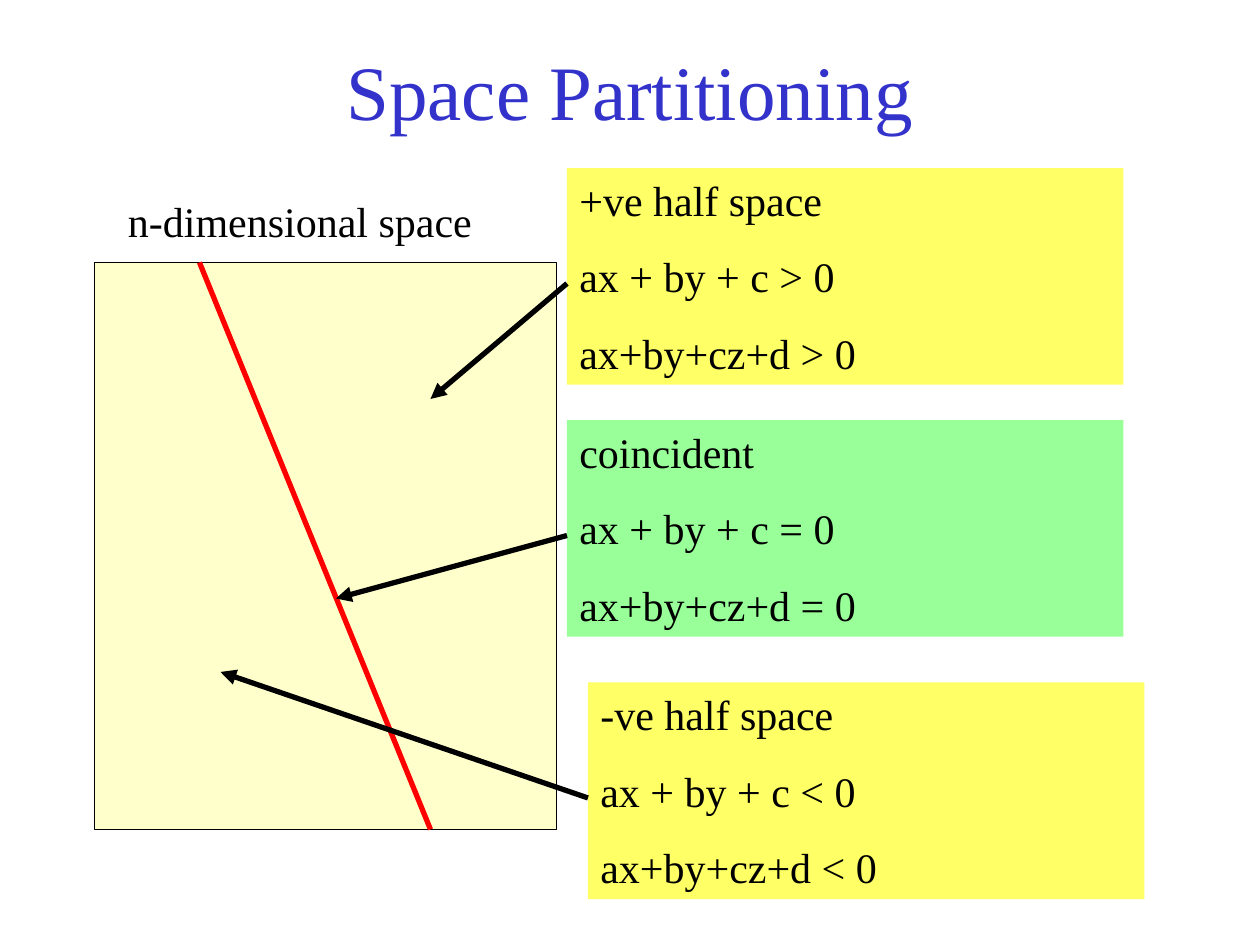
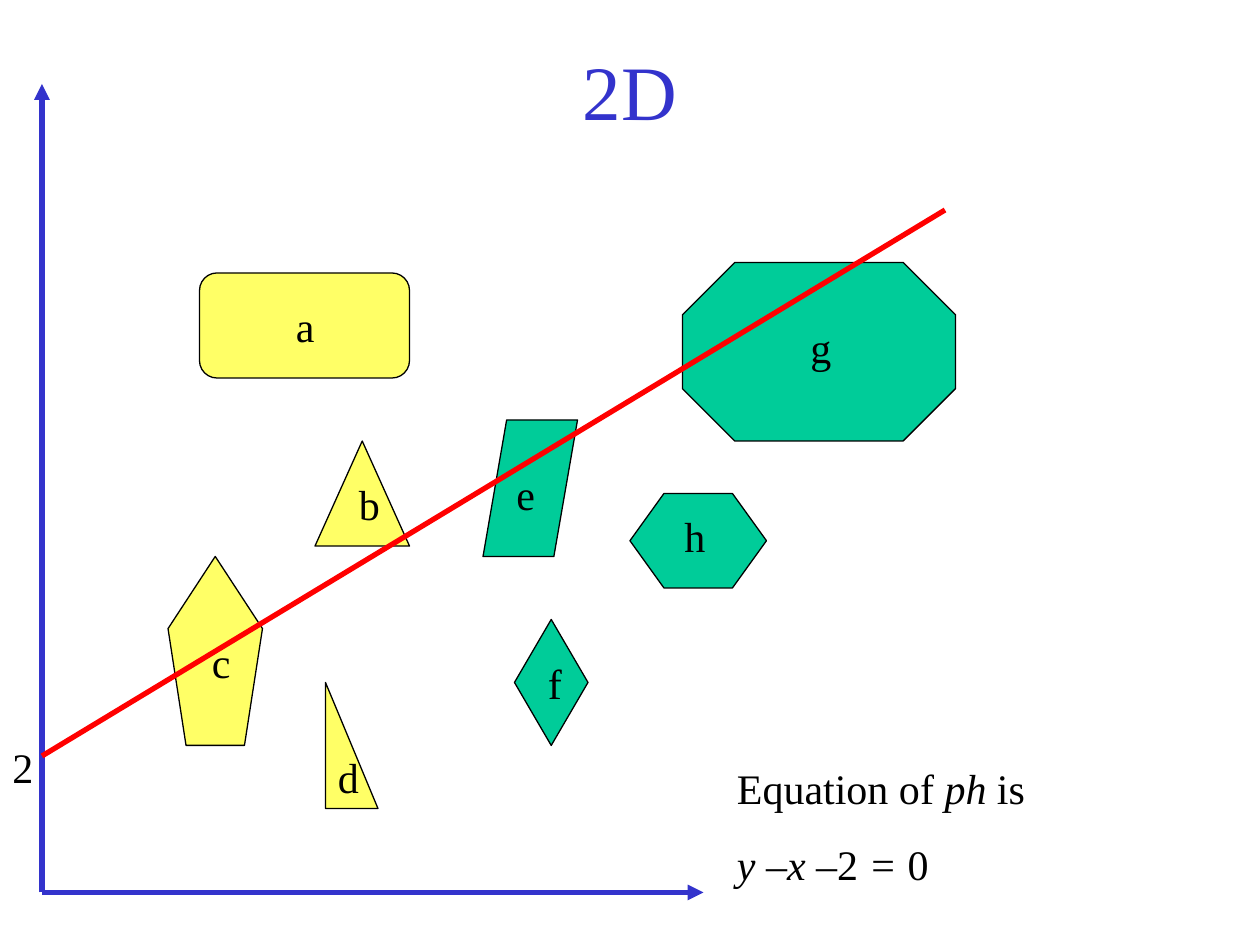
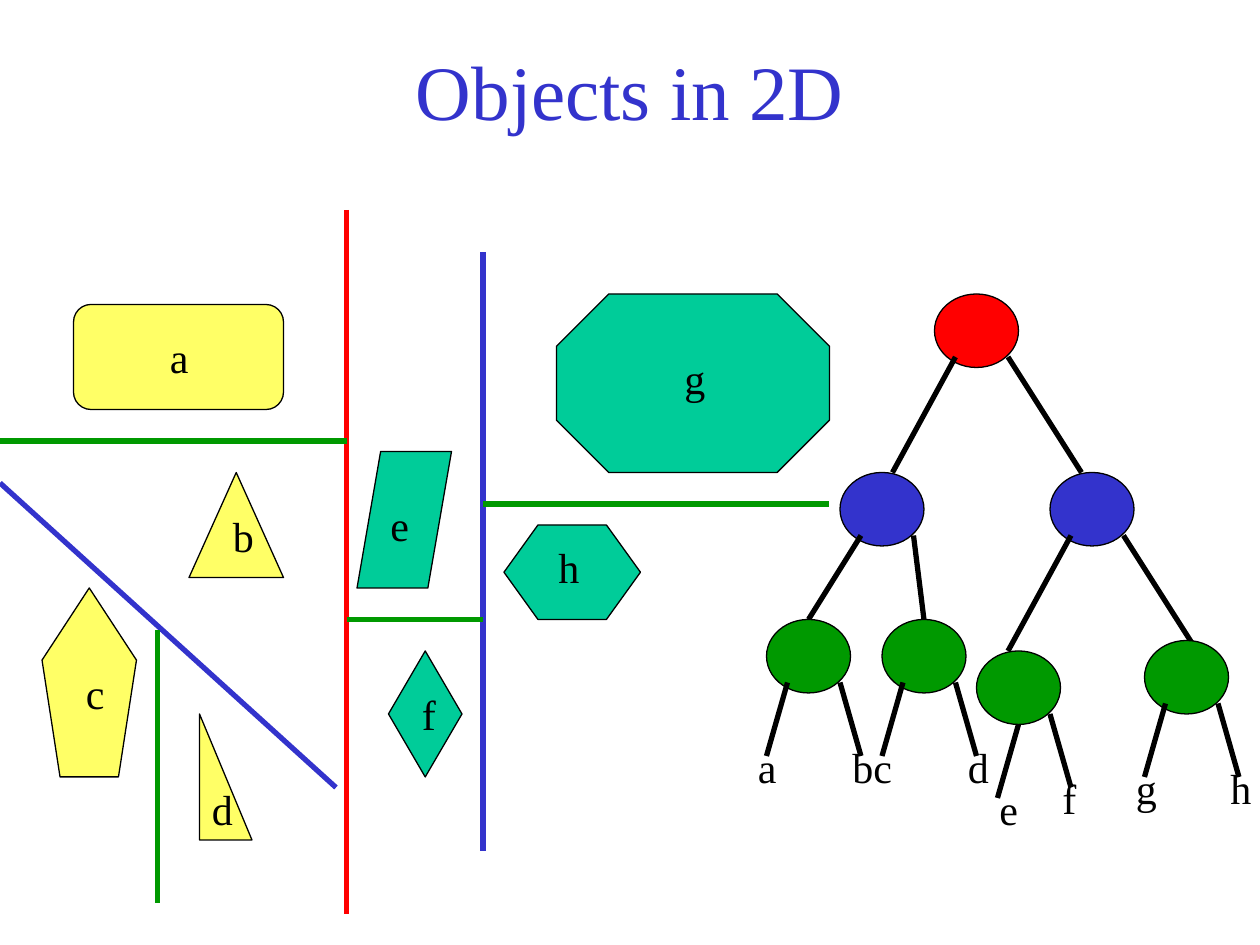
from lxml import etree
from pptx import Presentation
from pptx.dml.color import RGBColor
from pptx.enum.shapes import MSO_CONNECTOR, MSO_SHAPE
from pptx.enum.text import MSO_ANCHOR, MSO_AUTO_SIZE, PP_ALIGN
from pptx.oxml.ns import qn
from pptx.util import Inches, Pt

RECTANGLE = MSO_SHAPE.RECTANGLE
OVAL = MSO_SHAPE.OVAL
HEXAGON = MSO_SHAPE.HEXAGON
STRAIGHT = MSO_CONNECTOR.STRAIGHT
MIDDLE, TOP = MSO_ANCHOR.MIDDLE, MSO_ANCHOR.TOP
CENTER, LEFT = PP_ALIGN.CENTER, PP_ALIGN.LEFT
FIT_SHAPE, NO_FIT = MSO_AUTO_SIZE.SHAPE_TO_FIT_TEXT, MSO_AUTO_SIZE.NONE

WIDTH, HEIGHT = Inches(10), Inches(7.5)
COLUMNS, ROWS = 120, 90
TITLE_ONLY = 5
FONT = "Times New Roman"
COLORS = {
    "black": "000000",
    "blue": "3333CC",
    "red": "FF0000",
    "green": "009900",
    "teal": "00CC99",
    "yellow": "FFFF66",
    "cream": "FFFFCC",
    "mint": "99FF99",
}

OBJECTS = [
    ("a", MSO_SHAPE.ROUNDED_RECTANGLE, "yellow", (19, 26, 20, 10), (27, 28)),
    ("h", HEXAGON, "teal", (60, 47, 13, 9), (64, 48)),
    ("b", MSO_SHAPE.ISOSCELES_TRIANGLE, "yellow", (30, 42, 9, 10), (33, 45)),
    ("e", MSO_SHAPE.PARALLELOGRAM, "teal", (46, 40, 9, 13), (48, 44)),
    ("f", MSO_SHAPE.DIAMOND, "teal", (49, 59, 7, 12), (51, 62)),
    ("c", MSO_SHAPE.REGULAR_PENTAGON, "yellow", (16, 53, 9, 18), (19, 60)),
    ("d", MSO_SHAPE.RIGHT_TRIANGLE, "yellow", (31, 65, 5, 12), (31, 71)),
    ("g", MSO_SHAPE.OCTAGON, "teal", (65, 25, 26, 17), (76, 30)),
]

HALF_SPACES = [
    ("+ve half space", ">", "yellow", (54, 16), (41, 38)),
    ("-ve half space", "<", "yellow", (56, 65), (21, 64)),
    ("coincident", "=", "mint", (54, 40), (32, 57)),
]

PARTITIONS = [
    ("red", (33, 20), (33, 87)),
    ("blue", (46, 24), (46, 81)),
    ("blue", (0, 46), (32, 75)),
    ("green", (0, 42), (33, 42)),
    ("green", (15, 60), (15, 86)),
    ("green", (33, 59), (46, 59)),
    ("green", (46, 48), (79, 48)),
]

BRANCHES = [
    ("red", (89, 28), (85, 45), (103, 45)),
    ("blue", (80, 45), (77, 59), (88, 59)),
    ("blue", (100, 45), (96, 62), (114, 62)),
]
LEFT_EXIT, RIGHT_EXIT = (2, 6), (7, 6)

LEFT_STEM = (LEFT_EXIT, (0, 13), (-2, 11))
RIGHT_STEM = (RIGHT_EXIT, (9, 13), (7, 11))
CENTER_STEM = ((4, 7), (2, 14), (1, 12))
LEAF_NODES = [
    ((73, 59), "ab", LEFT_STEM),
    ((84, 59), "cd", LEFT_STEM),
    ((93, 62), "ef", CENTER_STEM),
    ((109, 61), "gh", LEFT_STEM),
]


def color(name):
    return RGBColor.from_string(COLORS[name])


def moved(point, offset):
    return point[0] + offset[0], point[1] + offset[1]


def write(frame, lines, size=24, ink="black", align=LEFT, anchor=TOP, fit=FIT_SHAPE, gap=15):
    frame.word_wrap = True
    frame.auto_size = fit
    frame.vertical_anchor = anchor
    for index, line in enumerate(lines):
        paragraph = frame.add_paragraph() if index else frame.paragraphs[0]
        paragraph.alignment = align
        paragraph.space_before = Pt(gap if index else 0)
        for position, piece in enumerate(line.split("*")):
            if piece:
                run = paragraph.add_run()
                run.text = piece
                run.font.name = FONT
                run.font.size = Pt(size)
                run.font.italic = position % 2 == 1
                run.font.color.rgb = color(ink)


class Deck:
    def __init__(self):
        self.presentation = Presentation()
        self.presentation.slide_width = WIDTH
        self.presentation.slide_height = HEIGHT
        self.slide = None

    def area(self, column, row, columns, rows):
        return [
            round(column * WIDTH / COLUMNS),
            round(row * HEIGHT / ROWS),
            round(columns * WIDTH / COLUMNS),
            round(rows * HEIGHT / ROWS),
        ]

    def start(self, text):
        layout = self.presentation.slide_layouts[TITLE_ONLY]
        self.slide = self.presentation.slides.add_slide(layout)
        title = self.slide.shapes.title
        title.left, title.top, title.width, title.height = self.area(9, 1, 102, 15)
        write(title.text_frame, [text], size=44, ink="blue", align=CENTER, anchor=MIDDLE, fit=NO_FIT)

    def shape(self, kind, area, fill, outline="black"):
        shape = self.slide.shapes.add_shape(kind, *self.area(*area))
        shape.shadow.inherit = False
        shape.fill.solid()
        shape.fill.fore_color.rgb = color(fill)
        if outline:
            shape.line.color.rgb = color(outline)
            shape.line.width = Pt(0.75)
        else:
            shape.line.fill.background()
        return shape

    def text(self, area, *lines):
        box = self.slide.shapes.add_textbox(*self.area(*area))
        write(box.text_frame, lines)

    def label(self, corner, letter):
        self.text((*corner, 4, 6), letter)

    def line(self, start, end, ink="black", arrow=False):
        ends = self.area(*start, *end)
        connector = self.slide.shapes.add_connector(STRAIGHT, *ends)
        connector.line.color.rgb = color(ink)
        connector.line.width = Pt(3)
        properties = connector._element.spPr
        if arrow:
            outline = properties.find(qn("a:ln"))
            etree.SubElement(outline, qn("a:tailEnd"), type="triangle")
        etree.SubElement(properties, qn("a:effectLst"))

    def node(self, corner, fill):
        self.shape(OVAL, (*corner, 8, 7), fill)

    def objects(self, offset=(0, 0)):
        for _, kind, fill, (column, row, columns, rows), _ in OBJECTS:
            corner = moved((column, row), offset)
            shape = self.shape(kind, (*corner, columns, rows), fill)
            if kind == HEXAGON:
                shape.adjustments[0] = 0.36
        for letter, _, _, _, corner in OBJECTS:
            self.label(moved(corner, offset), letter)


def space_partitioning(deck):
    deck.start("Space Partitioning")
    deck.shape(RECTANGLE, (9, 25, 44, 54), "cream")
    deck.line((19, 25), (41, 79), "red")
    deck.text((11, 18, 40, 6), "n-dimensional space")
    for name, sign, fill, corner, target in HALF_SPACES:
        box = deck.shape(RECTANGLE, (*corner, 53, 20.64), fill, outline=None)
        write(box.text_frame, [name, f"ax + by + c {sign} 0", f"ax+by+cz+d {sign} 0"])
        deck.line(moved(corner, (0, 11)), target, arrow=True)


def plane(deck):
    deck.start("2D")
    deck.objects()
    deck.text((69, 72, 33, 13.3), "Equation of *ph* is", "*y –x –*2* = *0")
    origin = (4, 85)
    for axis_end in ((4, 8), (67, 85)):
        deck.line(origin, axis_end, "blue", arrow=True)
    deck.line((4, 72), (90, 20), "red")
    deck.label((0, 70), "2")


def objects_in_plane(deck):
    deck.start("Objects in 2D")
    deck.objects(offset=(-12, 3))
    for ink, start, end in PARTITIONS:
        deck.line(start, end, ink)
    for fill, corner, left_child, right_child in BRANCHES:
        deck.node(corner, fill)
        deck.line(moved(corner, LEFT_EXIT), left_child)
        deck.line(moved(corner, RIGHT_EXIT), right_child)
    for corner, letters, left_stem in LEAF_NODES:
        deck.node(corner, "green")
        for letter, (start, end, place) in zip(letters, (left_stem, RIGHT_STEM)):
            deck.line(moved(corner, start), moved(corner, end))
            deck.label(moved(corner, place), letter)


def main():
    deck = Deck()
    space_partitioning(deck)
    plane(deck)
    objects_in_plane(deck)
    deck.presentation.save("out.pptx")


if __name__ == "__main__":
    main()
